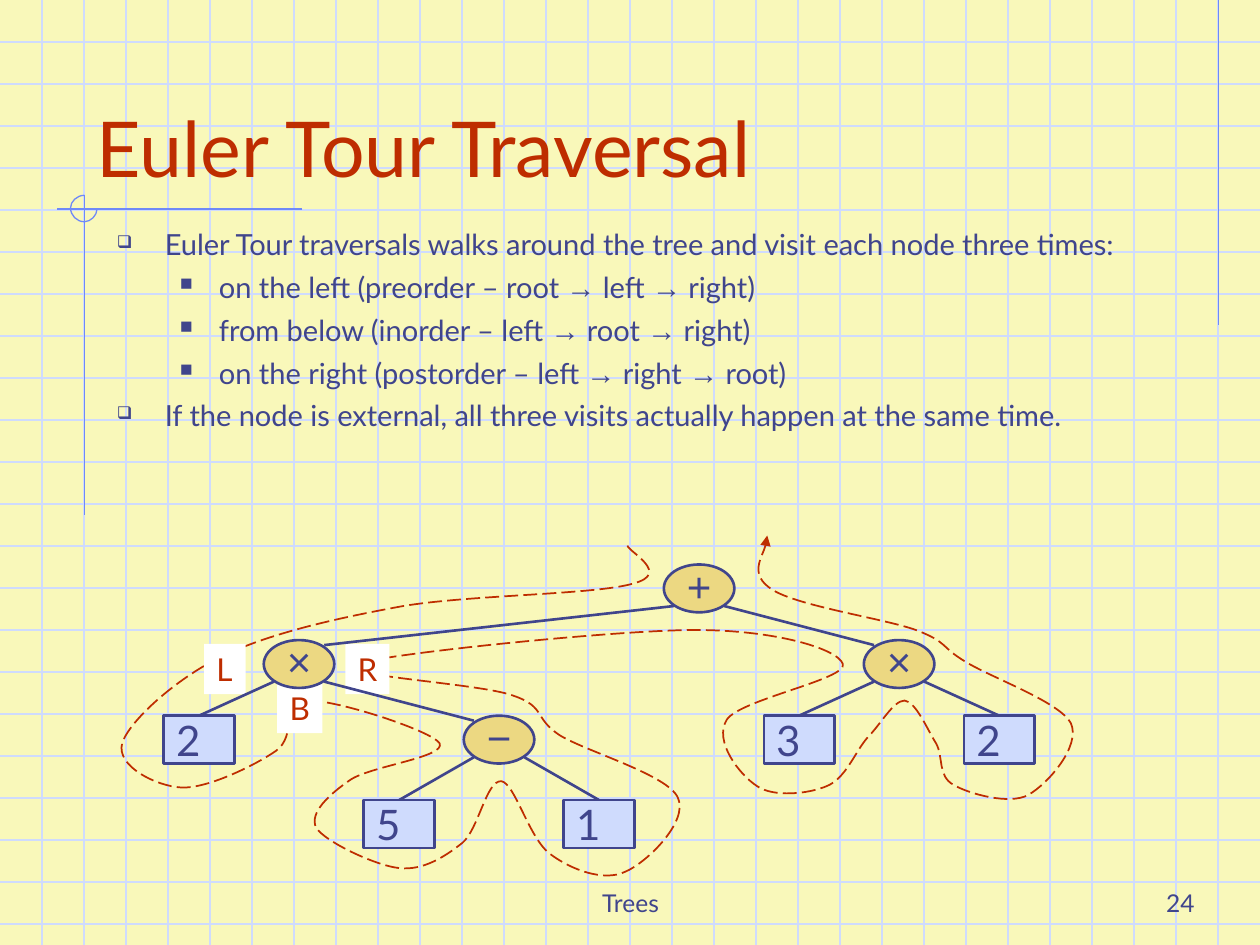
from lxml import etree
from pptx import Presentation
from pptx import util as u
from pptx.dml.color import RGBColor
from pptx.enum import dml, shapes, text
from pptx.oxml.ns import qn

INK, RED, GRID, RULE = "40458C", "BE2D00", "CFDBFD", "6F89F7"
GOLD, WHITE, PAPER = "ECD882", "FFFFFF", "F9F8BA"
LEFT, MID, RIGHT = text.PP_ALIGN.LEFT, text.PP_ALIGN.CENTER, text.PP_ALIGN.RIGHT
TOP, LOW = text.MSO_ANCHOR.TOP, text.MSO_ANCHOR.BOTTOM
RECT, OVAL = shapes.MSO_SHAPE.RECTANGLE, shapes.MSO_SHAPE.OVAL

PLAIN = [
    ("Trees", (3.42, 6.83, 3.17, 0.5), 14, INK, MID),
    ("24", (7.5, 6.83, 2.08, 0.5), 14, INK, RIGHT),
    ("Euler Tour Traversal", (0.67, 0.33, 8.5, 1.25), 44, RED, LEFT),
]
BODY = [
    (0, "Euler Tour traversals walks around the tree and visit each node three times:"),
    (1, "on the left (preorder – root → left → right)"),
    (1, "from below (inorder – left → root → right)"),
    (1, "on the right (postorder – left → right → root)"),
    (0, "If the node is external, all three visits actually happen at the same time."),
]
BULLETS = [("❑", 0.38, 0.38), ("■", 0.81, 0.31)]
RULES = [((9.67, 0), (9.67, 2.58)), ((2.4, 1.66), (0.45, 1.66)), ((0.67, 1.55), (0.67, 4.09))]
ARC = [
    (0.67, 1.55),
    (0.61, 1.55), (0.56, 1.6), (0.56, 1.65),
    (0.56, 1.71), (0.61, 1.76), (0.67, 1.76),
    (0.72, 1.76), (0.77, 1.71), (0.77, 1.66),
]
NODES = [
    ("+", 5, 0, None), ("×", 1, 1, 0), ("×", 7, 1, 0), ("−", 3, 2, 1),
    ("2", 0, 2, 1), ("3", 6, 2, 2), ("2", 8, 2, 2), ("5", 2, 3, 3), ("1", 4, 3, 3),
]
ROWS = [4.48, 5.08, 5.68, 6.35]
MARKS = [("L", 1.62, 5.11, 0.33), ("B", 2.2, 5.42, 0.36), ("R", 2.74, 5.11, 0.35)]
TOUR = [
    (4.98, 4.33),
    (4.99, 4.38), (5.33, 4.55), (5.03, 4.63),
    (4.74, 4.72), (3.74, 4.72), (3.2, 4.81),
    (2.65, 4.91), (2.13, 5.03), (1.76, 5.21),
    (1.39, 5.39), (1.02, 5.73), (0.97, 5.9),
    (0.92, 6.08), (1.24, 6.24), (1.44, 6.25),
    (1.65, 6.26), (2.03, 6.07), (2.19, 5.96),
    (2.36, 5.84), (2.23, 5.57), (2.44, 5.56),
    (2.66, 5.55), (3.43, 5.8), (3.49, 5.9),
    (3.54, 6.01), (2.94, 6.08), (2.78, 6.19),
    (2.62, 6.3), (2.45, 6.45), (2.51, 6.57),
    (2.58, 6.68), (2.98, 6.87), (3.17, 6.89),
    (3.36, 6.91), (3.53, 6.8), (3.67, 6.69),
    (3.8, 6.58), (3.86, 6.19), (3.98, 6.2),
    (4.09, 6.22), (4.2, 6.66), (4.37, 6.78),
    (4.53, 6.9), (4.79, 7), (4.96, 6.92),
    (5.13, 6.85), (5.47, 6.52), (5.38, 6.33),
    (5.3, 6.15), (4.67, 5.97), (4.45, 5.84),
    (4.23, 5.7), (4.34, 5.61), (4.07, 5.52),
    (3.8, 5.42), (2.58, 5.36), (2.82, 5.27),
    (3.06, 5.19), (4.88, 5), (5.52, 5),
    (6.16, 5), (6.65, 5.15), (6.69, 5.27),
    (6.73, 5.39), (5.88, 5.55), (5.77, 5.71),
    (5.66, 5.88), (5.87, 6.15), (6.01, 6.24),
    (6.14, 6.33), (6.42, 6.3), (6.56, 6.24),
    (6.71, 6.18), (6.78, 5.98), (6.88, 5.86),
    (6.99, 5.75), (7.09, 5.56), (7.18, 5.56),
    (7.27, 5.57), (7.36, 5.79), (7.43, 5.9),
    (7.49, 6.01), (7.44, 6.16), (7.57, 6.23),
    (7.69, 6.3), (8.01, 6.39), (8.16, 6.31),
    (8.32, 6.22), (8.58, 5.92), (8.5, 5.74),
    (8.41, 5.57), (7.87, 5.38), (7.66, 5.25),
    (7.46, 5.13), (7.53, 5.1), (7.27, 5),
    (7.02, 4.91), (6.33, 4.81), (6.13, 4.68),
    (5.94, 4.56), (6.1, 4.34), (6.09, 4.25),
]

deck = Presentation()
deck.slide_width, deck.slide_height = u.Inches(10), u.Inches(7.5)
slide = deck.slides.add_slide(deck.slide_layouts[6])
pool = slide.shapes


def paint(fill, color):
    fill.solid()
    fill.fore_color.rgb = RGBColor.from_string(color)


def stroke(line, color, width):
    paint(line.fill, color)
    line.width = u.Pt(width)


def style(para, size, color, face="Lato", align=LEFT):
    para.alignment = align
    para.font.size, para.font.name = u.Pt(size), face
    para.font.color.rgb = RGBColor.from_string(color)


def link(start, end, color, width):
    line = pool.add_connector(shapes.MSO_CONNECTOR.STRAIGHT, *map(u.Inches, start + end))
    stroke(line.line, color, width)
    etree.SubElement(line._element.spPr, qn("a:effectLst"))


def curve(points, color, width):
    dots = [(u.Inches(x), u.Inches(y)) for x, y in points]
    pen = pool.build_freeform(*dots[0], scale=1.0)
    pen.add_line_segments(dots[1:], close=False)
    shape = pen.convert_to_shape()
    shape.shadow.inherit = False
    shape.fill.background()
    stroke(shape.line, color, width)
    steps = list(shape._element.iter(qn("a:lnTo")))
    route = steps[0].getparent()
    for i in range(0, len(steps), 3):
        bend = etree.SubElement(route, qn("a:cubicBezTo"))
        for step in steps[i:i + 3]:
            bend.append(step[0])
            route.remove(step)
    return shape


def block(kind, area, fill):
    shape = pool.add_shape(kind, *map(u.Inches, area))
    shape.shadow.inherit = False
    paint(shape.fill, fill)
    shape.line.fill.background()
    return shape


def box(area, anchor):
    frame = pool.add_textbox(*map(u.Inches, area)).text_frame
    frame.word_wrap, frame.vertical_anchor = True, anchor
    return frame


paint(slide.background.fill, PAPER)
for i in range(1, 23):
    link((0, i / 3), (10, i / 3), GRID, 0.75)
for i in range(1, 30):
    link((i / 3, 0), (i / 3, 7.5), GRID, 0.75)
for start, end in RULES:
    link(start, end, RULE, 0.75)
curve(ARC, RULE, 0.75)

for words, area, size, color, align in PLAIN:
    para = box(area, LOW).paragraphs[0]
    para.text = words
    style(para, size, color, align=align)

frame = box((0.83, 1.75, 8.67, 2.33), TOP)
for i, (level, words) in enumerate(BODY):
    para = frame.add_paragraph() if i else frame.paragraphs[0]
    for j, part in enumerate(words.split("→")):
        if j:
            arrow = para.add_run()
            arrow.text, arrow.font.name = "→", "Arial"
        para.add_run().text = part
    mark, left, hang = BULLETS[level]
    para.level = level
    props = para._p.get_or_add_pPr()
    props.set("marL", str(u.Inches(left)))
    props.set("indent", str(-u.Inches(hang)))
    tint = etree.SubElement(props, qn("a:buClr"))
    etree.SubElement(tint, qn("a:srgbClr"), val=INK)
    etree.SubElement(props, qn("a:buSzPct"), val="60000")
    etree.SubElement(props, qn("a:buChar"), char=mark)
    if i:
        para.space_before = u.Pt(4.5)
    style(para, 16.6, INK)

tour = curve(TOUR, RED, 1)
tour.line.dash_style = dml.MSO_LINE.LONG_DASH
etree.SubElement(tour.line._get_or_add_ln(), qn("a:tailEnd"), type="triangle")

for name, x, y, wide in MARKS:
    frame = block(RECT, (x, y, wide, 0.4), WHITE).text_frame
    frame.word_wrap, frame.vertical_anchor = False, TOP
    frame.text = name
    style(frame.paragraphs[0], 18, RED)

spots = [(1.3 + col * 6.35 / 8, ROWS[row]) for _, col, row, _ in NODES]
for (name, _, _, up), (x, y) in zip(NODES, spots):
    if up is not None:
        px, py = spots[up]
        side = 0.2 if x > px else -0.2
        end = (x + 0.28, y) if name.isdigit() else (x + 0.28 - side, y + 0.04)
        link((px + 0.28 + side, py + 0.33), end, INK, 1.5)
for (name, *_), (x, y) in zip(NODES, spots):
    leaf = name.isdigit()
    shape = block(RECT if leaf else OVAL, (x, y, 0.56, 0.38), GRID if leaf else GOLD)
    stroke(shape.line, INK, 1.5)
    frame = shape.text_frame
    frame.word_wrap, frame.vertical_anchor = True, text.MSO_ANCHOR.MIDDLE
    if not leaf:
        frame.margin_left = frame.margin_right = frame.margin_top = 0
    frame.text = name
    style(frame.paragraphs[0], 24, INK, "Lato" if leaf else "Arial", LEFT if leaf else MID)

deck.save("out.pptx")
